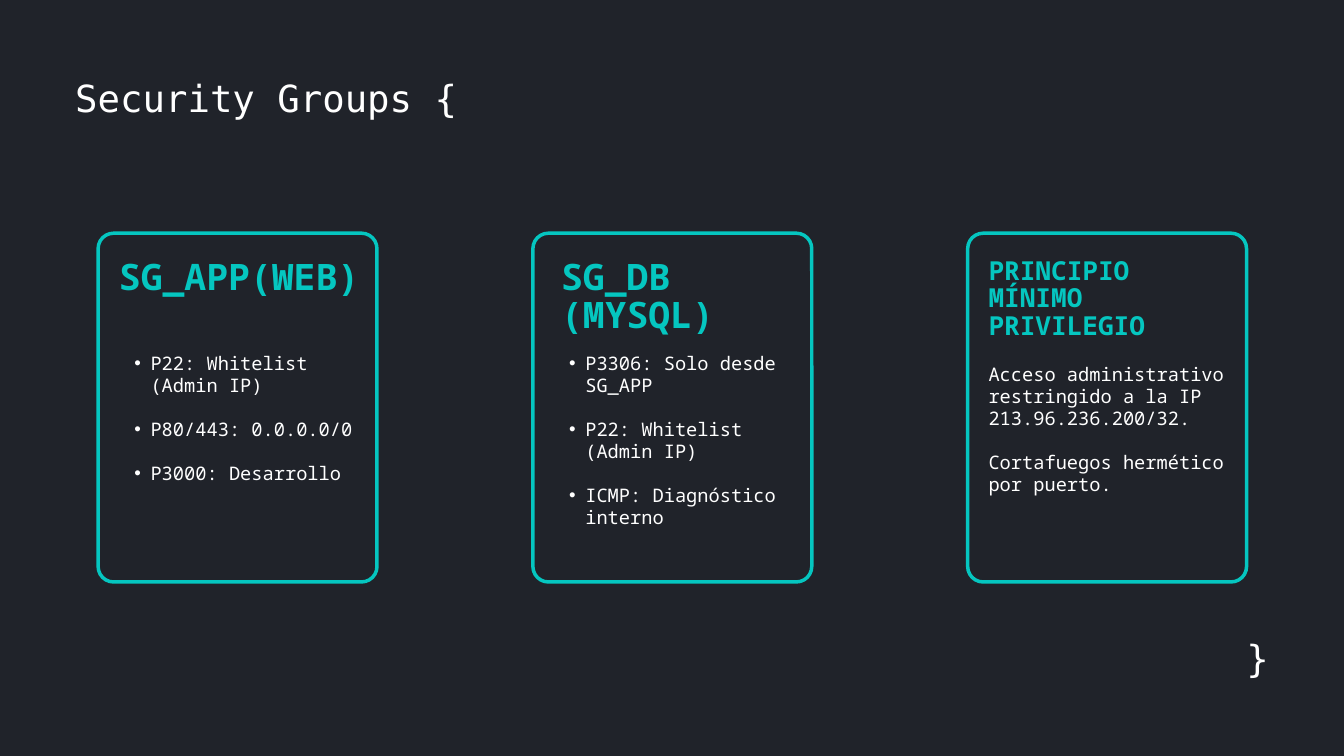
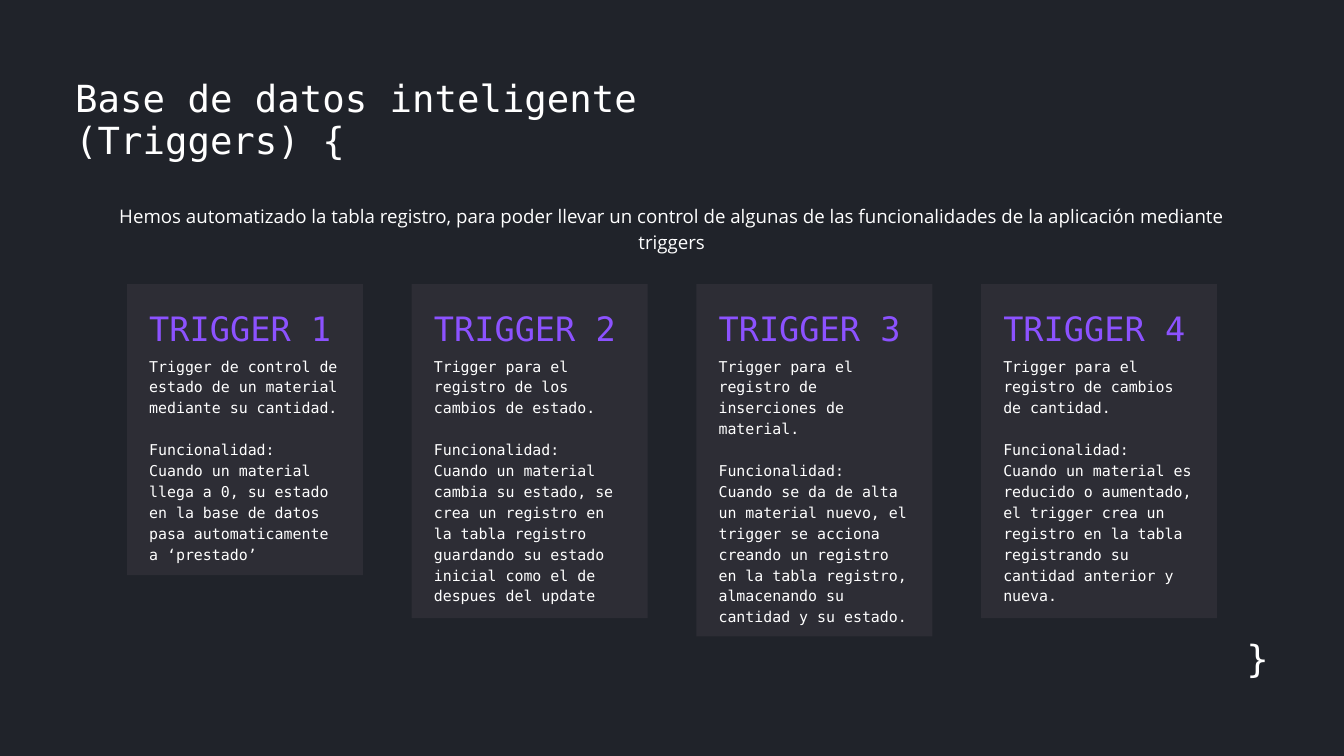
"""Builds two dark slides: security groups and database triggers."""
from lxml import etree
from pptx import Presentation
from pptx.dml.color import RGBColor
from pptx.enum import shapes, text
from pptx.oxml.ns import qn
from pptx.util import Inches, Pt

BACKGROUND, WHITE, TEAL, PURPLE, PANEL = "20232A", "FFFFFF", "05C6C0", "8C52FF", "2D2D35"
CODE, MONO, SANS = "DejaVu Sans Mono", "Noto Sans Mono", "Open Sans"

GROUPS = [
    dict(heading="SG_APP(WEB)", heading_at=(1.77, 3.86, 3.95, 1.13), size=39, leading=40.9,
         body_at=(1.77, 5.24, 3.52, 2.58), bullets=True,
         body=["P22: Whitelist (Admin IP)", "P80/443: 0.0.0.0/0", "P3000: Desarrollo"]),
    dict(heading="SG_DB (MYSQL)", heading_at=(8.35, 3.86, 3.54, 1.7), size=39, leading=40.9,
         body_at=(8.24, 5.24, 3.52, 2.9), bullets=True,
         body=["P3306: Solo desde SG_APP", "P22: Whitelist (Admin IP)",
               "ICMP: Diagnóstico interno"]),
    dict(heading="PRINCIPIO MÍNIMO PRIVILEGIO", heading_at=(14.71, 3.84, 2.98, 1.72),
         size=28, leading=29.4, body_at=(14.71, 5.4, 3.52, 2.58), bullets=False,
         body=["Acceso administrativo restringido a la IP 213.96.236.200/32.",
               "Cortafuegos hermético por puerto."]),
]
SUMMARY = ("Hemos automatizado la tabla registro, para poder llevar un control de algunas "
           "de las funcionalidades de la aplicación mediante triggers")
TRIGGERS = [
    (4.33, 3.02, "Trigger de control de estado de un material mediante su cantidad.",
     "Cuando un material llega a 0, su estado en la base de datos pasa "
     "automaticamente a ‘prestado’"),
    (4.97, 3.62, "Trigger para el registro de los cambios de estado.",
     "Cuando un material cambia su estado, se crea un registro en la tabla registro "
     "guardando su estado inicial como el de despues del update"),
    (5.24, 3.92, "Trigger para el registro de inserciones de material.",
     "Cuando se da de alta un material nuevo, el trigger se acciona creando un registro "
     "en la tabla registro, almacenando su cantidad y su estado."),
    (4.97, 3.62, "Trigger para el registro de cambios de cantidad.",
     "Cuando un material es reducido o aumentado, el trigger crea un registro en la "
     "tabla registrando su cantidad anterior y nueva."),
]


def color(value):
    return RGBColor.from_string(value)


def add_text(page, place, lines, size, leading, font=CODE, fill=WHITE, bold=False,
             align=text.PP_ALIGN.LEFT, bullets=False, gaps=()):
    box = page.shapes.add_textbox(*map(Inches, place))
    frame = box.text_frame
    frame.word_wrap = True
    frame.auto_size = text.MSO_AUTO_SIZE.SHAPE_TO_FIT_TEXT
    frame.margin_left = frame.margin_top = frame.margin_right = frame.margin_bottom = 0
    for index, line in enumerate(lines):
        para = frame.add_paragraph() if index else frame.paragraphs[0]
        if bullets:
            properties = para._p.get_or_add_pPr()
            properties.set("marL", str(Inches(0.47)))
            properties.set("indent", str(Inches(-0.24)))
            etree.SubElement(properties, qn("a:buFont")).set("typeface", "Arial")
            etree.SubElement(properties, qn("a:buChar")).set("char", "•")
        para.alignment = align
        para.line_spacing = Pt(leading)
        if index in gaps:
            para.space_before = Pt(leading)
        span = para.add_run()
        span.text = line
        span.font.name, span.font.size, span.font.bold = font, Pt(size), bold
        span.font.color.rgb = color(fill)


def add_card(page, kind, place, fill=None, line=None):
    card = page.shapes.add_shape(kind, *map(Inches, place))
    card.shadow.inherit = False
    if fill:
        card.fill.solid()
        card.fill.fore_color.rgb = color(fill)
    else:
        card.fill.background()
    if line:
        card.line.color.rgb = color(line)
        card.line.width = Pt(3.75)
    else:
        card.line.fill.background()
    return card


def add_page(deck, title, width, height):
    page = deck.slides.add_slide(deck.slide_layouts[6])
    page.background.fill.solid()
    page.background.fill.fore_color.rgb = color(BACKGROUND)
    add_text(page, (1.12, 1.15, width, height), [title], 40, 45.6)
    add_text(page, (18.11, 9.49, 0.77, 0.64), ["}"], 40, 45.6, align=text.PP_ALIGN.RIGHT)
    return page


def add_groups(deck):
    page = add_page(deck, "Security Groups {", 10.36, 0.64)
    for index, group in enumerate(GROUPS):
        card = add_card(page, shapes.MSO_SHAPE.ROUNDED_RECTANGLE,
                        (1.46 + 6.47 * index, 3.47, 4.15, 5.19), line=TEAL)
        card.adjustments[0] = 0.23 / 4.15
        add_text(page, group["heading_at"], [group["heading"]], group["size"],
                 group["leading"], font=MONO, fill=TEAL, bold=True)
        add_text(page, group["body_at"], group["body"], 20, 23.6, font=MONO,
                 bullets=group["bullets"], gaps=(1, 2))


def add_triggers(deck):
    page = add_page(deck, "Base de datos inteligente (Triggers) {", 9.57, 1.26)
    add_text(page, (1.25, 2.99, 17.49, 0.38), [SUMMARY], 20, 28, font=SANS,
             align=text.PP_ALIGN.CENTER)
    pitch = (14.6 - 1.89) / (len(TRIGGERS) - 1)
    for index, (height, body_height, purpose, effect) in enumerate(TRIGGERS):
        left = 1.89 + pitch * index
        add_card(page, shapes.MSO_SHAPE.RECTANGLE, (left, 4.23, 3.51, height), fill=PANEL)
        add_text(page, (left + 0.33, 5.27, 2.84, body_height),
                 [purpose, "Funcionalidad:", effect], 16, 22.4, gaps=(1,))
        add_text(page, (left + 0.33, 4.54, 2.84, 0.62), [f"TRIGGER {index + 1}"],
                 36, 45.7, fill=PURPLE)


def main():
    deck = Presentation()
    deck.slide_width, deck.slide_height = Inches(20), Inches(11.25)
    add_groups(deck)
    add_triggers(deck)
    deck.save("out.pptx")


if __name__ == "__main__":
    main()
